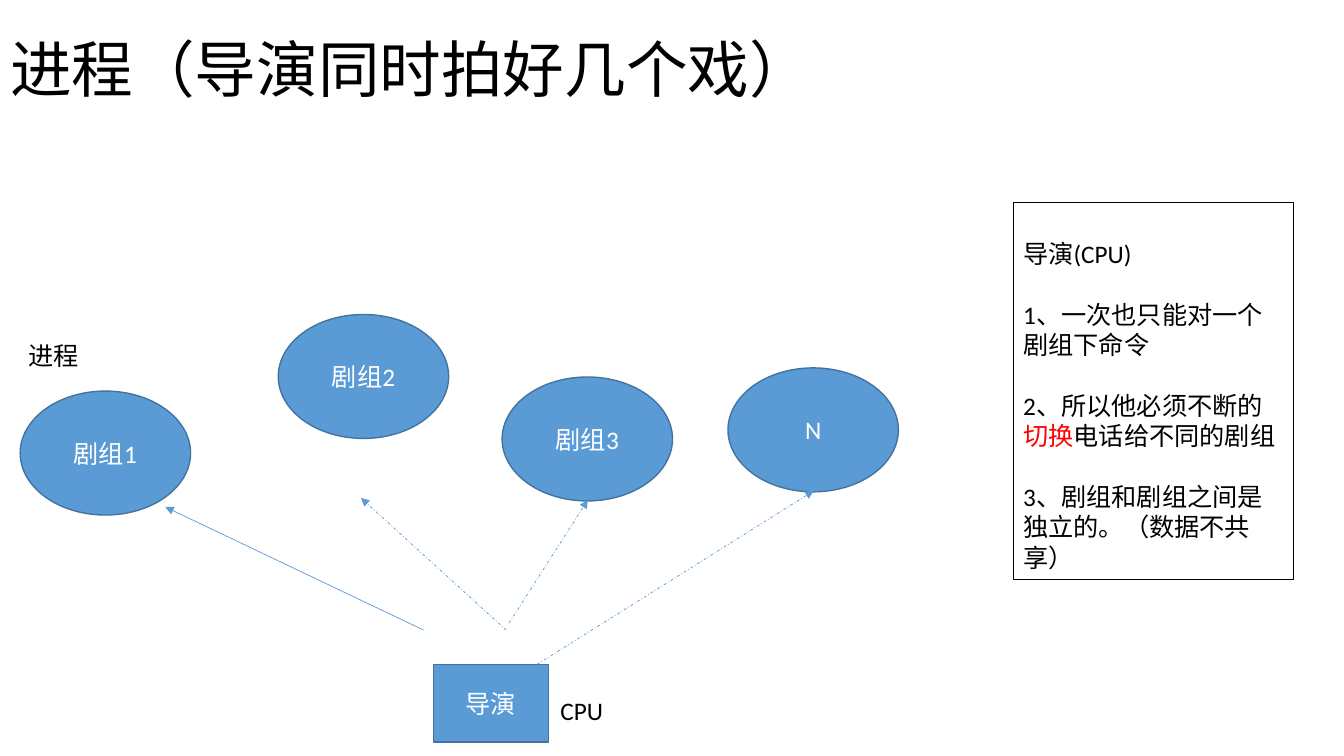
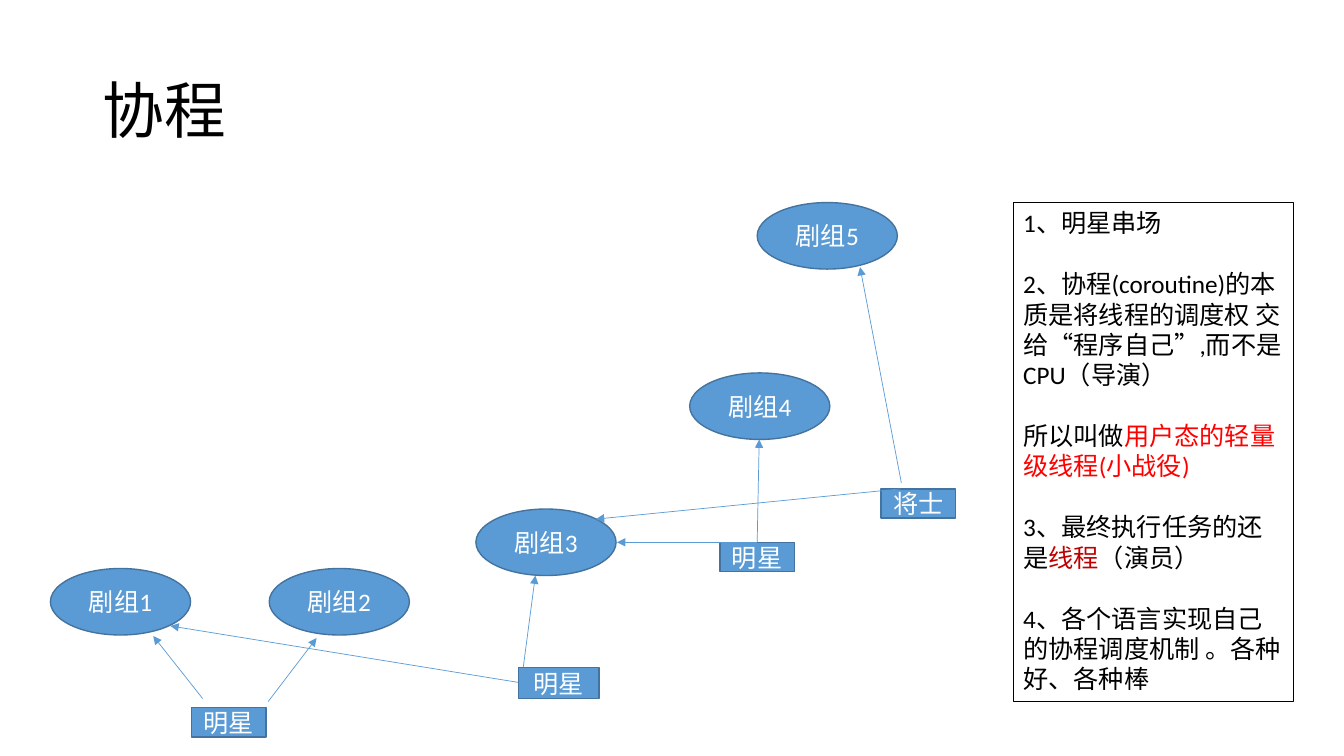
from dataclasses import dataclass

import lxml.etree
import pptx
import pptx.dml.color
import pptx.enum.dml
import pptx.enum.shapes
import pptx.enum.text
import pptx.oxml.ns
import pptx.shapes.autoshape
import pptx.slide
import pptx.text.text
import pptx.util

Inches = pptx.util.Inches
Pt = pptx.util.Pt

# Shared look
COLORS = {
    "node": "5B9BD5",
    "node_edge": "43739E",
    "node_text": "FFFFFF",
    "text": "000000",
    "alert": "FF0000",
    "strong": "C00000",
}
FONT = "Calibri"
BODY_SIZE = 18
TITLE_SIZE = 44
TITLE_BOX = (11.5, 1.45)
NOTES_LEFT, NOTES_TOP, NOTES_WIDTH = 10.05, 2.01, 2.78
BLANK_LINE = 22  # points between the numbered notes
OVAL = pptx.enum.shapes.MSO_SHAPE.OVAL
RECTANGLE = pptx.enum.shapes.MSO_SHAPE.RECTANGLE


@dataclass(frozen=True)
class Node:
    label: str
    left: float
    top: float
    width: float
    height: float
    outline: pptx.enum.shapes.MSO_SHAPE


@dataclass(frozen=True)
class Arrow:
    start: tuple[float, float]
    end: tuple[float, float]
    dashed: bool = False


@dataclass(frozen=True)
class Run:
    text: str
    color: str = "text"


def rgb(name: str) -> pptx.dml.color.RGBColor:
    return pptx.dml.color.RGBColor.from_string(COLORS[name])


def crew(label: str, left: float, top: float, size: tuple[float, float]) -> Node:
    return Node(label, left, top, *size, OVAL)


def actor(label: str, left: float, top: float,
          width: float = 0.74, height: float = 0.29) -> Node:
    return Node(label, left, top, width, height, RECTANGLE)


def set_font(paragraph: pptx.text.text._Paragraph, color: str,
             size: int = BODY_SIZE) -> None:
    paragraph.font.name = FONT
    paragraph.font.size = Pt(size)
    paragraph.font.color.rgb = rgb(color)


def add_titled_slide(deck, text: str, left: float, top: float) -> pptx.slide.Slide:
    slide = deck.slides.add_slide(deck.slide_layouts.get_by_name("Title Only"))
    title = slide.shapes.title
    title.left, title.top = Inches(left), Inches(top)
    title.width, title.height = (Inches(side) for side in TITLE_BOX)
    frame = title.text_frame
    frame.text = text
    frame.auto_size = pptx.enum.text.MSO_AUTO_SIZE.NONE
    frame.vertical_anchor = pptx.enum.text.MSO_ANCHOR.MIDDLE
    heading = frame.paragraphs[0]
    heading.alignment = pptx.enum.text.PP_ALIGN.LEFT
    heading.line_spacing = 0.9
    set_font(heading, "text", TITLE_SIZE)
    return slide


def draw_node(slide: pptx.slide.Slide, node: Node) -> None:
    shape = slide.shapes.add_shape(
        node.outline, Inches(node.left), Inches(node.top),
        Inches(node.width), Inches(node.height))
    shape.shadow.inherit = False
    shape.fill.solid()
    shape.fill.fore_color.rgb = rgb("node")
    shape.line.color.rgb = rgb("node_edge")
    shape.line.width = Pt(1)
    shape.text_frame.text = node.label
    shape.text_frame.vertical_anchor = pptx.enum.text.MSO_ANCHOR.MIDDLE
    label = shape.text_frame.paragraphs[0]
    label.alignment = pptx.enum.text.PP_ALIGN.CENTER
    set_font(label, "node_text")


def draw_arrow(slide: pptx.slide.Slide, arrow: Arrow) -> None:
    connector = slide.shapes.add_connector(
        pptx.enum.shapes.MSO_CONNECTOR.STRAIGHT,
        *(Inches(value) for value in arrow.start + arrow.end))
    connector.line.color.rgb = rgb("node")
    connector.line.width = Pt(0.5)
    if arrow.dashed:
        connector.line.dash_style = pptx.enum.dml.MSO_LINE.DASH_DOT
    qn = pptx.oxml.ns.qn
    properties = connector._element.spPr
    lxml.etree.SubElement(
        properties.find(qn("a:ln")), qn("a:tailEnd"), type="triangle")
    lxml.etree.SubElement(properties, qn("a:effectLst"))


def draw_caption(slide: pptx.slide.Slide, text: str,
                 left: float, top: float, width: float) -> None:
    caption = slide.shapes.add_textbox(
        Inches(left), Inches(top), Inches(width), Inches(0.4))
    caption.text_frame.word_wrap = True
    caption.text_frame.text = text
    set_font(caption.text_frame.paragraphs[0], "text")


def draw_notes(slide: pptx.slide.Slide, notes: list[list[Run]],
               height: float, top_inset: float = 0.05) -> None:
    box = slide.shapes.add_textbox(
        Inches(NOTES_LEFT), Inches(NOTES_TOP), Inches(NOTES_WIDTH), Inches(height))
    box.line.color.rgb = rgb("text")
    box.line.width = Pt(0.75)
    frame = box.text_frame
    frame.word_wrap = True
    frame.margin_top = Inches(top_inset)
    for index, runs in enumerate(notes):
        note = frame.add_paragraph() if index else frame.paragraphs[0]
        set_font(note, "text")
        if index:
            note.space_before = Pt(BLANK_LINE)
        for part in runs:
            run = note.add_run()
            run.text = part.text
            run.font.name = FONT
            run.font.size = Pt(BODY_SIZE)
            run.font.color.rgb = rgb(part.color)


def draw_diagram(slide: pptx.slide.Slide, nodes: list[Node],
                 arrows: list[Arrow]) -> None:
    for node in nodes:
        draw_node(slide, node)
    for arrow in arrows:
        draw_arrow(slide, arrow)


deck = pptx.Presentation()
deck.slide_width, deck.slide_height = Inches(13.33), Inches(7.5)

# Processes: one director phones several crews
processes = add_titled_slide(deck, "进程（导演同时拍好几个戏）", 0, -0.01)
PROCESS_CREW = (1.69, 1.23)
draw_diagram(
    processes,
    [
        crew("剧组1", 0.2, 3.88, PROCESS_CREW),
        crew("剧组2", 2.76, 3.12, PROCESS_CREW),
        crew("剧组3", 4.98, 3.74, PROCESS_CREW),
        crew("N", 7.22, 3.65, PROCESS_CREW),
        actor("导演", 4.3, 6.59, 1.14, 0.77),
    ],
    [
        Arrow((4.2, 6.25), (1.64, 5.03)),
        Arrow((5.02, 6.25), (3.58, 4.94), dashed=True),
        Arrow((5.05, 6.18), (5.83, 4.96), dashed=True),
        Arrow((5.33, 6.59), (8.07, 4.87), dashed=True),
    ],
)
draw_caption(processes, "CPU", 5.46, 6.85, 1.4)
draw_caption(processes, "进程", 0.18, 3.33, 0.92)
draw_notes(
    processes,
    [
        [Run("导演(CPU)")],
        [Run("1、一次也只能对一个剧组下命令")],
        [Run("2、所以他必须不断的"), Run("切换", "alert"), Run("电话给不同的剧组")],
        [Run("3、剧组和剧组之间是独立的。（数据不共享）")],
    ],
    height=3.74,
    top_inset=0.35,
)

# Coroutines: the stars move between crews by themselves
coroutines = add_titled_slide(deck, "协程", 0.92, 0.4)
COROUTINE_CREW = (1.39, 0.66)
crew_corners = [(0.5, 5.64), (2.67, 5.64), (4.72, 5.05), (6.84, 3.7), (7.51, 2.01)]
crews = [crew(f"剧组{number}", left, top, COROUTINE_CREW)
         for number, (left, top) in enumerate(crew_corners, start=1)]
draw_notes(
    coroutines,
    [
        [Run("1、明星串场")],
        [Run("2、协程(coroutine)的本质是将线程的调度权 交给“程序自己”,"
             "而不是CPU（导演）")],
        [Run("所以叫做"), Run("用户态的轻量级线程(小战役)", "alert")],
        [Run("3、最终执行任务的还是"), Run("线程", "strong"), Run("（演员）")],
        [Run("4、各个语言实现自己的协程调度机制 。各种好、各种棒")],
    ],
    height=4.95,
)
draw_diagram(
    coroutines,
    crews + [
        actor("明星", 1.9, 7.02),
        actor("明星", 5.14, 6.62, 0.8, 0.31),
        actor("明星", 7.14, 5.38),
        actor("将士", 8.74, 4.85),
    ],
    [
        Arrow((2.01, 6.93), (1.52, 6.31)),
        Arrow((2.66, 6.96), (3.14, 6.33)),
        Arrow((5.19, 6.62), (5.31, 5.71)),
        Arrow((5.14, 6.77), (1.69, 6.21)),
        Arrow((7.51, 5.38), (6.12, 5.38)),
        Arrow((7.51, 5.38), (7.53, 4.36)),
        Arrow((8.94, 4.79), (8.53, 2.65)),
        Arrow((8.93, 4.85), (5.91, 5.15)),
    ],
)

deck.save("out.pptx")
